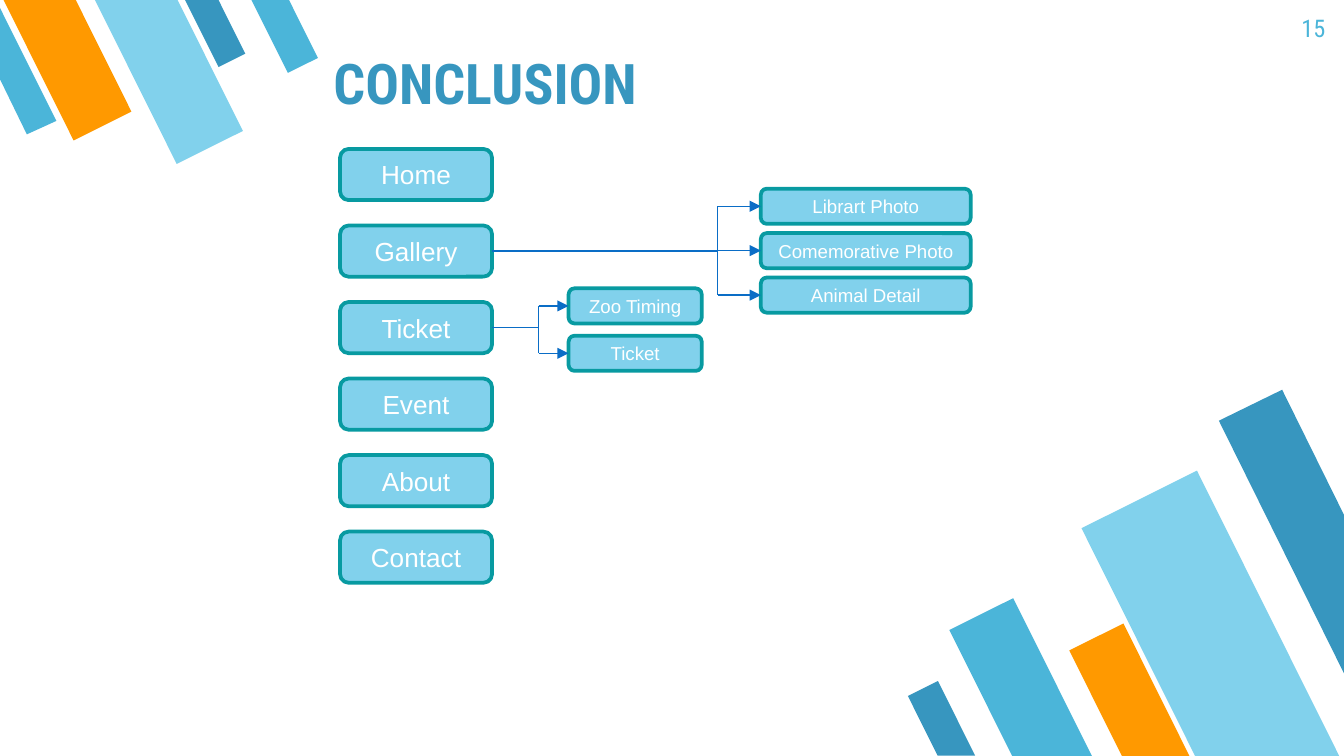
from lxml import etree
from pptx import Presentation
from pptx.dml.color import RGBColor
from pptx.enum.shapes import MSO_CONNECTOR, MSO_SHAPE
from pptx.enum.text import MSO_ANCHOR, MSO_AUTO_SIZE, PP_ALIGN
from pptx.oxml.ns import qn
from pptx.util import Pt

STRAIGHT = MSO_CONNECTOR.STRAIGHT
ROUNDED = MSO_SHAPE.ROUNDED_RECTANGLE
SLANTED = MSO_SHAPE.FLOWCHART_MANUAL_INPUT
LEFT, CENTER, RIGHT = PP_ALIGN.LEFT, PP_ALIGN.CENTER, PP_ALIGN.RIGHT
MIDDLE, BOTTOM = MSO_ANCHOR.MIDDLE, MSO_ANCHOR.BOTTOM
NO_AUTOFIT = MSO_AUTO_SIZE.NONE
LEFT_SIDE, RIGHT_SIDE = 1, 3

COLORS = {
    "dark": "3796BF",
    "medium": "4BB5D9",
    "light": "81D1EC",
    "orange": "FF9900",
    "border": "089AA1",
    "connector": "0A6DC6",
    "white": "FFFFFF",
}
HEADING_FONT = "Roboto Condensed"
BODY_FONT = "Arial"

BOTTOM_ANGLE, TOP_ANGLE = 153.5, 333.5
STRIPES = [
    (527.8, 324, 38.2, 95, BOTTOM_ANGLE, "medium"),
    (614.2, 258.5, 69.1, 172.1, BOTTOM_ANGLE, "light"),
    (589, 337, 32.4, 80, BOTTOM_ANGLE, "orange"),
    (495.4, 366.5, 18, 44.6, BOTTOM_ANGLE, "dark"),
    (107.3, -5.8, 16, 40.3, TOP_ANGLE, "dark"),
    (18.7, -13, 34.6, 85, TOP_ANGLE, "orange"),
    (70.6, -14.4, 39.6, 98.6, TOP_ANGLE, "light"),
    (143.3, -7.2, 18, 44.6, TOP_ANGLE, "medium"),
]
CUT_STRIPES = [
    ([(686.9, 208.8), (653, 225.4), (720, 360.7), (720, 275.8)], "dark"),
    ([(14.4, 72), (30.2, 64.8), (0, 4.3), (0, 42.5)], "medium"),
]


def rgb(name):
    return RGBColor.from_string(COLORS[name])


def paint(shape, color):
    shape.shadow.inherit = False
    shape.fill.solid()
    shape.fill.fore_color.rgb = rgb(color)
    shape.line.fill.background()


def write_text(shape, text, size, font, color, alignment, bold=False, inset=7.2):
    frame = shape.text_frame
    frame.word_wrap = True
    frame.auto_size = NO_AUTOFIT
    frame.margin_left = frame.margin_right = Pt(inset)
    frame.margin_top = frame.margin_bottom = Pt(inset)
    paragraph = frame.paragraphs[0]
    paragraph.text = text
    paragraph.alignment = alignment
    paragraph.font.size = Pt(size)
    paragraph.font.name = font
    paragraph.font.bold = bold
    paragraph.font.color.rgb = rgb(color)


def add_stripe(slide, left, top, width, height, angle, color):
    shape = slide.shapes.add_shape(SLANTED, Pt(left), Pt(top), Pt(width), Pt(height))
    shape.rotation = angle
    shape._element.spPr.xfrm.set("flipH", "1")
    paint(shape, color)


def add_cut_stripe(slide, corners, color):
    start, *others = [(Pt(x), Pt(y)) for x, y in corners]
    builder = slide.shapes.build_freeform(*start)
    builder.add_line_segments(others)
    paint(builder.convert_to_shape(), color)


def add_title(slide, text):
    title = slide.shapes.title
    title.left, title.top, title.width, title.height = Pt(171.4), Pt(15.8), Pt(453.6), Pt(53.3)
    write_text(title, text, 30, HEADING_FONT, "dark", LEFT, bold=True)
    title.text_frame.vertical_anchor = BOTTOM


def add_page_number(slide, text):
    box = slide.shapes.add_textbox(Pt(673.9), Pt(0), Pt(43.2), Pt(31))
    write_text(box, text, 13, HEADING_FONT, "medium", RIGHT)


def add_column(slide, labels, left, top, width, height, pitch, size):
    boxes = []
    for row, label in enumerate(labels):
        box = slide.shapes.add_shape(
            ROUNDED, Pt(left), Pt(top + row * pitch), Pt(width), Pt(height))
        paint(box, "light")
        box.line.color.rgb = rgb("border")
        box.line.width = Pt(2)
        write_text(box, label, size, BODY_FONT, "white", CENTER, inset=0)
        box.text_frame.vertical_anchor = MIDDLE
        boxes.append(box)
    return boxes


def add_line(slide, start, end, arrow=False):
    connector = slide.shapes.add_connector(STRAIGHT, *start, *end)
    connector.line.color.rgb = rgb("connector")
    connector.line.width = Pt(0.75)
    if arrow:
        etree.SubElement(connector.line._get_or_add_ln(), qn("a:tailEnd"), type="triangle")
    etree.SubElement(connector._element.spPr, qn("a:effectLst"))
    return connector


def middle(box):
    return box.top + box.height // 2


def add_branches(slide, parent, children, trunk):
    stem = add_line(slide, (parent.left + parent.width, middle(parent)), (trunk, middle(parent)))
    stem.begin_connect(parent, RIGHT_SIDE)
    add_line(slide, (trunk, middle(children[0])), (trunk, middle(children[-1])))
    for child in children:
        branch = add_line(slide, (trunk, middle(child)), (child.left, middle(child)), arrow=True)
        branch.end_connect(child, LEFT_SIDE)


def main():
    presentation = Presentation()
    presentation.slide_width, presentation.slide_height = Pt(720), Pt(405)
    slide = presentation.slides.add_slide(presentation.slide_layouts[5])

    for stripe in STRIPES:
        add_stripe(slide, *stripe)
    for corners, color in CUT_STRIPES:
        add_cut_stripe(slide, corners, color)

    add_title(slide, "CONCLUSION")
    add_page_number(slide, "15")

    pages = ["Home", "Gallery", "Ticket", "Event", "About", "Contact"]
    _, gallery, ticket, *_ = add_column(slide, pages, 182.2, 79.8, 81.4, 27.4, 41, 14)
    ticket_parts = add_column(
        slide, ["Zoo Timing", "Ticket"], 304.6, 154.5, 71.3, 18.8, 25.4, 10)
    gallery_parts = add_column(
        slide, ["Librart Photo", "Comemorative Photo", "Animal Detail"],
        407.6, 101.1, 112.4, 18.8, 23.8, 10)

    add_branches(slide, gallery, gallery_parts, Pt(384.5))
    add_branches(slide, ticket, ticket_parts, Pt(288.6))

    presentation.save("out.pptx")


if __name__ == "__main__":
    main()
